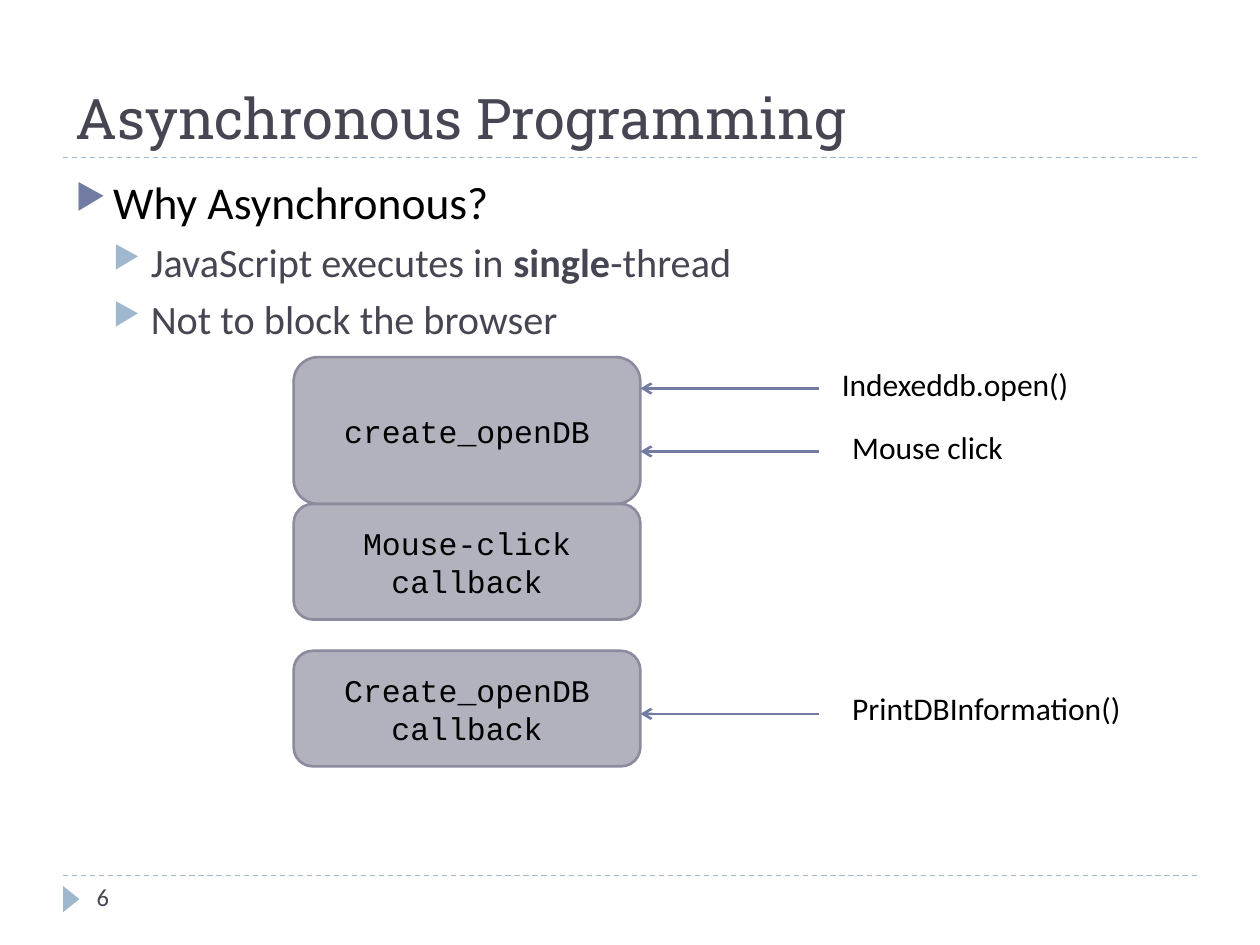
from lxml import etree
from pptx import Presentation
from pptx import util as u
from pptx.dml.color import RGBColor
from pptx.enum import dml, shapes, text
from pptx.oxml.ns import qn

COLORS = {
    "ink": "464653",
    "black": "000000",
    "box": "B2B2BE",
    "box_line": "8B8B9D",
    "accent": "727CA3",
    "sky": "9FB8CD",
}
MARGIN = 1.27
CONTENT_WIDTH = 22.86
BOX_LEFT = 5.92
BOX_WIDTH = 6.99
ARROW_START = 16.51


def color(name):
    return RGBColor.from_string(COLORS[name])


def box(*lengths):
    return [u.Cm(length) for length in lengths]


def format_runs(paragraph, size, color_name, font="Calibri"):
    for run in paragraph.runs:
        run.font.name = font
        run.font.size = u.Pt(size)
        run.font.color.rgb = color(color_name)


def add_label(slide, wording, left, top, width, size=18, color_name="black"):
    shape = slide.shapes.add_textbox(*box(left, top, width, 1.02))
    shape.text_frame.word_wrap = True
    shape.text_frame.text = wording
    format_runs(shape.text_frame.paragraphs[0], size, color_name)


def add_line(slide, start_x, end_x, y, color_name, width):
    line = slide.shapes.add_connector(
        shapes.MSO_CONNECTOR.STRAIGHT, *box(start_x, y, end_x, y))
    line.line.color.rgb = color(color_name)
    line.line.width = u.Pt(width)
    etree.SubElement(line._element.spPr, qn("a:effectLst"))
    return line


def add_divider(slide, y):
    line = add_line(slide, MARGIN, MARGIN + CONTENT_WIDTH, y, "sky", 0.75)
    line.line.dash_style = dml.MSO_LINE.DASH


def add_arrow(slide, y):
    arrow = add_line(slide, ARROW_START, BOX_LEFT + BOX_WIDTH, y, "accent", 1.5)
    etree.SubElement(arrow.line._get_or_add_ln(), qn("a:tailEnd"), type="arrow")


def add_task(slide, wording, top, height):
    shape = slide.shapes.add_shape(
        shapes.MSO_SHAPE.ROUNDED_RECTANGLE, *box(BOX_LEFT, top, BOX_WIDTH, height))
    shape.shadow.inherit = False
    shape.fill.solid()
    shape.fill.fore_color.rgb = color("box")
    shape.line.color.rgb = color("box_line")
    shape.line.width = u.Pt(1.5)
    frame = shape.text_frame
    frame.word_wrap = True
    frame.vertical_anchor = text.MSO_ANCHOR.MIDDLE
    frame.text = wording
    frame.paragraphs[0].alignment = text.PP_ALIGN.CENTER
    format_runs(frame.paragraphs[0], 18, "black", "Courier New")


def add_page_marker(slide):
    shape = slide.shapes.add_shape(
        shapes.MSO_SHAPE.ISOSCELES_TRIANGLE, *box(1.17, 17.96, 0.53, 0.33))
    shape.rotation = 90
    shape.shadow.inherit = False
    shape.fill.solid()
    shape.fill.fore_color.rgb = color("sky")
    shape.line.fill.background()


def set_bullet(paragraph, level, color_name):
    properties = paragraph._p.get_or_add_pPr()
    properties.set("marL", str(u.Cm(0.76 * (level + 1))))
    properties.set("indent", str(-u.Cm(0.76)))
    bullet_color = etree.SubElement(properties, qn("a:buClr"))
    etree.SubElement(bullet_color, qn("a:srgbClr"), val=COLORS[color_name])
    etree.SubElement(properties, qn("a:buSzPct"), val="76000")
    etree.SubElement(properties, qn("a:buChar"), char="▶")


def add_outline(slide, items):
    shape = slide.shapes.add_textbox(*box(MARGIN, 3.38, CONTENT_WIDTH, 13.72))
    frame = shape.text_frame
    frame.word_wrap = True
    styles = [(26, "black", 6, "accent"), (23, "ink", 5, "sky")]
    for index, (level, parts) in enumerate(items):
        paragraph = frame.add_paragraph() if index else frame.paragraphs[0]
        size, color_name, gap, bullet = styles[level]
        paragraph.level = level
        paragraph.space_before = u.Pt(gap)
        set_bullet(paragraph, level, bullet)
        for wording, bold in parts:
            run = paragraph.add_run()
            run.text = wording
            run.font.bold = bold
        format_runs(paragraph, size, color_name)


def set_title(slide, wording):
    title = slide.shapes.title
    title.left, title.top, title.width, title.height = box(
        MARGIN, 0.43, CONTENT_WIDTH, 2.74)
    frame = title.text_frame
    frame.text = wording
    frame.auto_size = text.MSO_AUTO_SIZE.NONE
    frame.vertical_anchor = text.MSO_ANCHOR.BOTTOM
    frame.paragraphs[0].alignment = text.PP_ALIGN.LEFT
    format_runs(frame.paragraphs[0], 32, "ink", "Roboto Slab")


def main():
    presentation = Presentation()
    presentation.slide_width, presentation.slide_height = box(25.4, 19.05)
    slide = presentation.slides.add_slide(presentation.slide_layouts[5])

    for y in (17.65, 3.17):
        add_divider(slide, y)
    add_page_marker(slide)
    set_title(slide, "Asynchronous Programming")
    add_label(slide, "6", 1.7, 17.65, 5.5, 14, "ink")
    add_outline(slide, [
        (0, [("Why Asynchronous?", False)]),
        (1, [("JavaScript executes\u00a0in ", False), ("single", True),
             ("-thread", False)]),
        (1, [("Not to block the browser", False)]),
    ])

    for wording, top, height in [
        ("create_openDB", 7.2, 2.96),
        ("Mouse-click callback", 10.16, 2.33),
        ("Create_openDB callback", 13.12, 2.33),
    ]:
        add_task(slide, wording, top, height)

    for wording, left, top, width, arrow_y in [
        ("Indexeddb.open()", 16.72, 7.23, 5.08, 7.83),
        ("Mouse click", 16.93, 8.5, 5.08, 9.1),
        ("PrintDBInformation()", 16.93, 13.76, 6.35, 14.39),
    ]:
        add_arrow(slide, arrow_y)
        add_label(slide, wording, left, top, width)

    presentation.save("out.pptx")


main()
